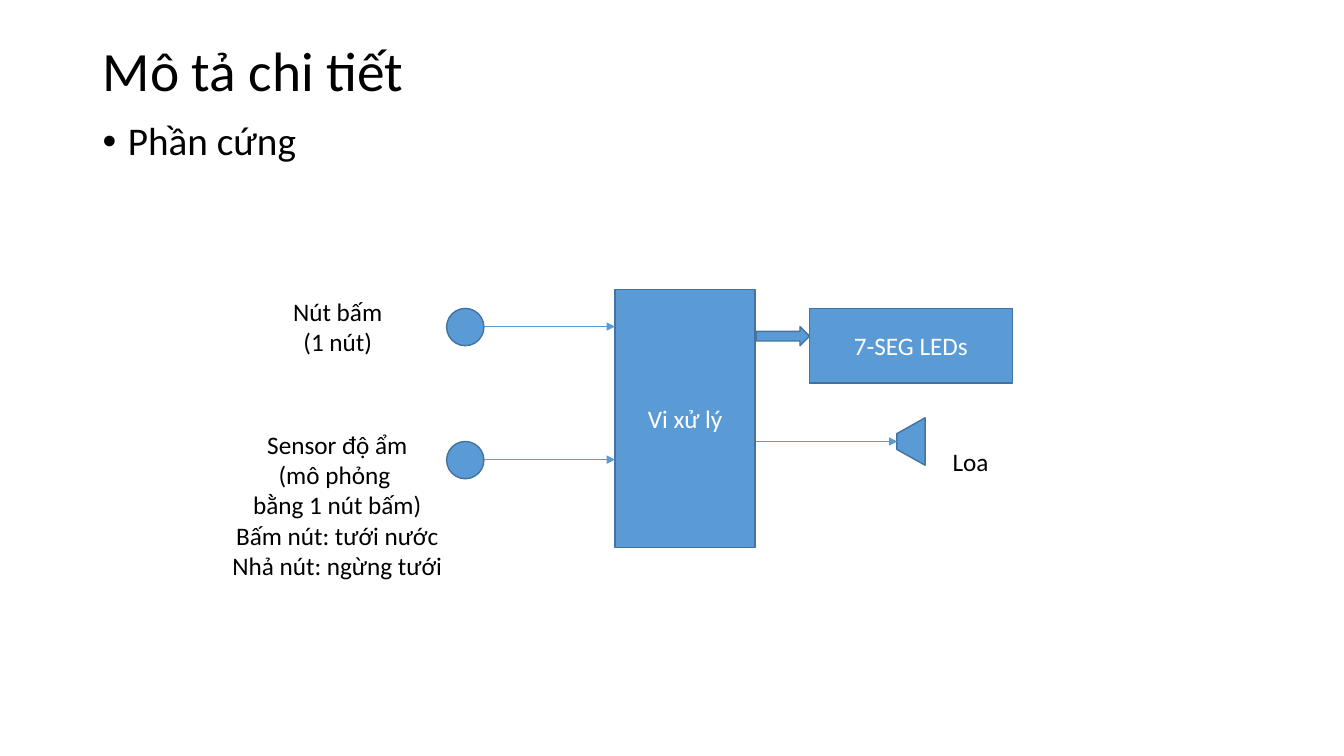
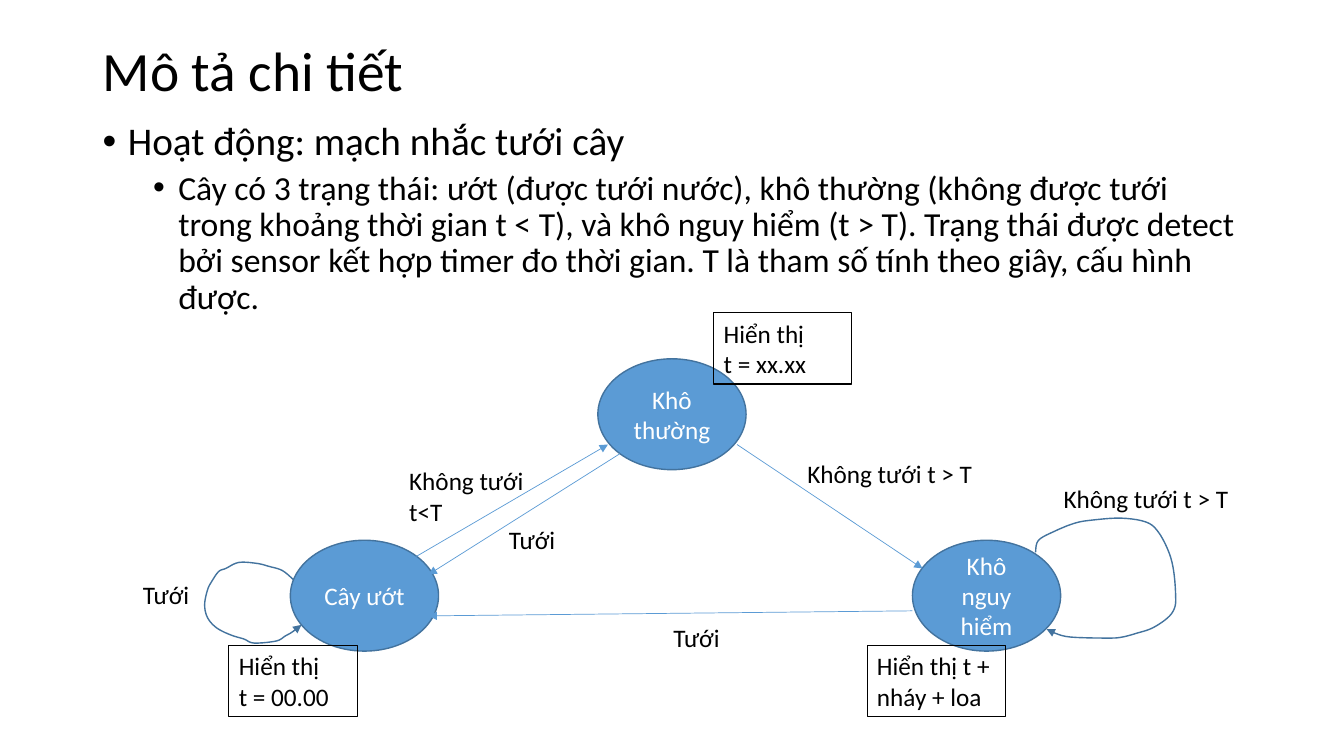
from dataclasses import dataclass

from pptx import Presentation
from pptx.dml.color import RGBColor
from pptx.enum import shapes, text
from pptx.oxml.ns import qn
from pptx.slide import Slide
from pptx.util import Emu, Pt
from lxml import etree

PX = 9144  # 100 px to the inch
FONT = "Calibri"
BLUE = RGBColor(0x5B, 0x9B, 0xD5)
DARK_BLUE = RGBColor(0x43, 0x73, 0x9E)
BLACK = RGBColor(0, 0, 0)
WHITE = RGBColor(0xFF, 0xFF, 0xFF)
LEFT, CENTER = text.PP_ALIGN.LEFT, text.PP_ALIGN.CENTER
KIND = shapes.MSO_SHAPE


def px(value):
    return Emu(round(value * PX))


def write(shape, content, color=BLACK, size=18, align=LEFT):
    """Fill a shape with text, one paragraph per line."""
    shape.text_frame.text = content
    for paragraph in shape.text_frame.paragraphs:
        paragraph.alignment = align
        for run in paragraph.runs:
            run.font.name = FONT
            run.font.size = Pt(size)
            run.font.color.rgb = color


def set_line(shape, color, width):
    shape.line.color.rgb = color
    shape.line.width = Pt(width)


def add_arrowhead(shape):
    line = shape.line._get_or_add_ln()
    etree.SubElement(line, qn("a:tailEnd"), type="triangle")


def smooth_curve(points, steps=5):
    """Sample a Catmull-Rom curve that passes through all points."""
    padded = [points[0], *points, points[-1]]
    curve = [points[0]]
    for a, b, c, d in zip(padded, padded[1:], padded[2:], padded[3:]):
        for step in range(1, steps + 1):
            t = step / steps
            curve.append(tuple(
                q + t * (r - p + t * (2 * p - 5 * q + 4 * r - s
                                      + t * (3 * q - p - 3 * r + s))) / 2
                for p, q, r, s in zip(a, b, c, d)))
    return curve


@dataclass
class Region:
    """Part of a slide; positions are relative to its top left corner."""
    slide: Slide
    left: int
    top: int

    def place(self, x, y):
        return px(self.left + x), px(self.top + y)

    def block(self, kind, x, y, width, height, content=""):
        shape = self.slide.shapes.add_shape(
            kind, *self.place(x, y), px(width), px(height))
        shape.shadow.inherit = False
        shape.fill.solid()
        shape.fill.fore_color.rgb = BLUE
        set_line(shape, DARK_BLUE, 1)
        if content:
            write(shape, content, WHITE, align=CENTER)
        return shape

    def display(self, x, y, width, content):
        shape = self.block(KIND.RECTANGLE, x, y, width, 71)
        shape.fill.background()
        set_line(shape, BLACK, 0.75)
        write(shape, content)

    def label(self, x, y, width, height, content, align=LEFT):
        box = self.slide.shapes.add_textbox(
            *self.place(x, y), px(width), px(height))
        box.text_frame.word_wrap = False
        write(box, content, align=align)

    def arrow(self, x1, y1, x2, y2):
        connector = self.slide.shapes.add_connector(
            shapes.MSO_CONNECTOR.STRAIGHT,
            *self.place(x1, y1), *self.place(x2, y2))
        set_line(connector, BLUE, 0.5)
        add_arrowhead(connector)
        etree.SubElement(connector._element.spPr, qn("a:effectLst"))

    def loop(self, points):
        start, *rest = [self.place(*point) for point in smooth_curve(points)]
        builder = self.slide.shapes.build_freeform(*start)
        builder.add_line_segments(rest, close=False)
        shape = builder.convert_to_shape()
        shape.shadow.inherit = False
        shape.fill.background()
        set_line(shape, DARK_BLUE, 1)
        add_arrowhead(shape)


def add_heading(slide, title, bullets, body_height):
    """Title and bullet list, as (level, text) pairs."""
    title_box = slide.shapes.add_textbox(px(92), px(40), px(1150), px(65))
    title_box.text_frame.word_wrap = True
    title_box.text_frame.vertical_anchor = text.MSO_ANCHOR.MIDDLE
    write(title_box, title, size=39.6)
    title_box.text_frame.paragraphs[0].line_spacing = 0.9

    body = slide.shapes.add_textbox(px(92), px(116), px(1150), px(body_height))
    body.text_frame.word_wrap = True
    write(body, "\n".join(content for _, content in bullets))
    for paragraph, (level, _) in zip(body.text_frame.paragraphs, bullets):
        paragraph.level = level
        paragraph.line_spacing = 0.9
        paragraph.space_before = Pt(5 if level else 10)
        paragraph.runs[0].font.size = Pt(24 if level else 28)
        properties = paragraph._p.get_or_add_pPr()
        properties.set("marL", str(px(25 + 50 * level)))
        properties.set("indent", str(px(-25)))
        etree.SubElement(properties, qn("a:buFont"), typeface="Arial")
        etree.SubElement(properties, qn("a:buChar"), char="•")


def add_hardware(region):
    # Controller and outputs
    region.block(KIND.RECTANGLE, 391, 0, 139, 256, "Vi xử lý")
    region.block(KIND.RECTANGLE, 584, 19, 201, 74, "7-SEG LEDs")
    speaker = region.block(KIND.TRAPEZOID, 661, 137, 47, 28)
    speaker.adjustments[0] = 0.56
    speaker.rotation = 270
    region.arrow(531, 151, 671, 151)
    region.block(KIND.RIGHT_ARROW, 531, 37, 53, 19)
    region.label(716, 151, 62, 40, "Loa")
    # Inputs
    for y in (19, 151):
        region.block(KIND.OVAL, 224, y, 37, 37)
        region.arrow(261, y + 18, 391, y + 18)
    region.label(61, 2, 110, 71, "Nút bấm\n(1 nút)", CENTER)
    region.label(0, 134, 231, 162,
                 "Sensor độ ẩm\n(mô phỏng \nbằng 1 nút bấm)\n"
                 "Bấm nút: tưới nước\nNhả nút: ngừng tưới", CENTER)


def add_state_diagram(region):
    # States
    for x, y, name in ((156, 226, "Cây ướt"), (461, 46, "Khô thường"),
                       (773, 226, "Khô nguy hiểm")):
        region.block(KIND.OVAL, x, y, 147, 110, name)
    # Transitions between states
    for ends in ((281, 242, 471, 131), (483, 140, 293, 260),
                 (599, 131, 783, 254), (773, 296, 293, 301)):
        region.arrow(*ends)
    # Transitions back to the same state
    region.loop([(895, 238), (898, 226), (914, 217), (934, 209), (951, 206),
                 (980, 204), (1005, 208), (1017, 218), (1027, 237),
                 (1032, 256), (1034, 280), (1033, 293), (1026, 303),
                 (1011, 313), (996, 318), (981, 322), (967, 323),
                 (930, 322), (914, 318), (906, 314)])
    region.loop([(159, 265), (148, 256), (135, 252), (123, 249), (105, 248),
                 (92, 254), (85, 257), (78, 267), (74, 275), (71, 290),
                 (74, 303), (83, 313), (97, 320), (110, 324), (120, 328),
                 (142, 326), (151, 321), (158, 317), (167, 310)])
    # Conditions
    region.label(264, 147, 135, 71, "Không tưới\nt<T")
    for x, y in ((363, 205), (526, 302), (0, 260)):
        region.label(x, y, 66, 40, "Tưới")
    for x, y in ((659, 140), (913, 165)):
        region.label(x, y, 186, 40, "Không tưới t > T")
    # Displayed values
    region.display(576, 0, 137, "Hiển thị\nt = xx.xx")
    region.display(728, 330, 137, "Hiển thị t + nháy + loa")
    region.display(95, 330, 128, "Hiển thị\nt = 00.00")


def main():
    presentation = Presentation()
    presentation.slide_width, presentation.slide_height = px(1333), px(750)
    blank = presentation.slide_layouts[6]
    title = "Mô tả chi tiết"

    slide = presentation.slides.add_slide(blank)
    add_heading(slide, title, [(0, "Phần cứng")], 60)
    add_hardware(Region(slide, 219, 287))

    slide = presentation.slides.add_slide(blank)
    add_heading(slide, title, [
        (0, "Hoạt động: mạch nhắc tưới cây"),
        (1, "Cây có 3 trạng thái: ướt (được tưới nước), khô thường (không "
            "được tưới trong khoảng thời gian t < T), và khô nguy hiểm "
            "(t > T). Trạng thái được detect bởi sensor kết hợp timer đo "
            "thời gian. T là tham số tính theo giây, cấu hình được."),
    ], 273)
    add_state_diagram(Region(slide, 132, 310))

    presentation.save("out.pptx")


if __name__ == "__main__":
    main()
